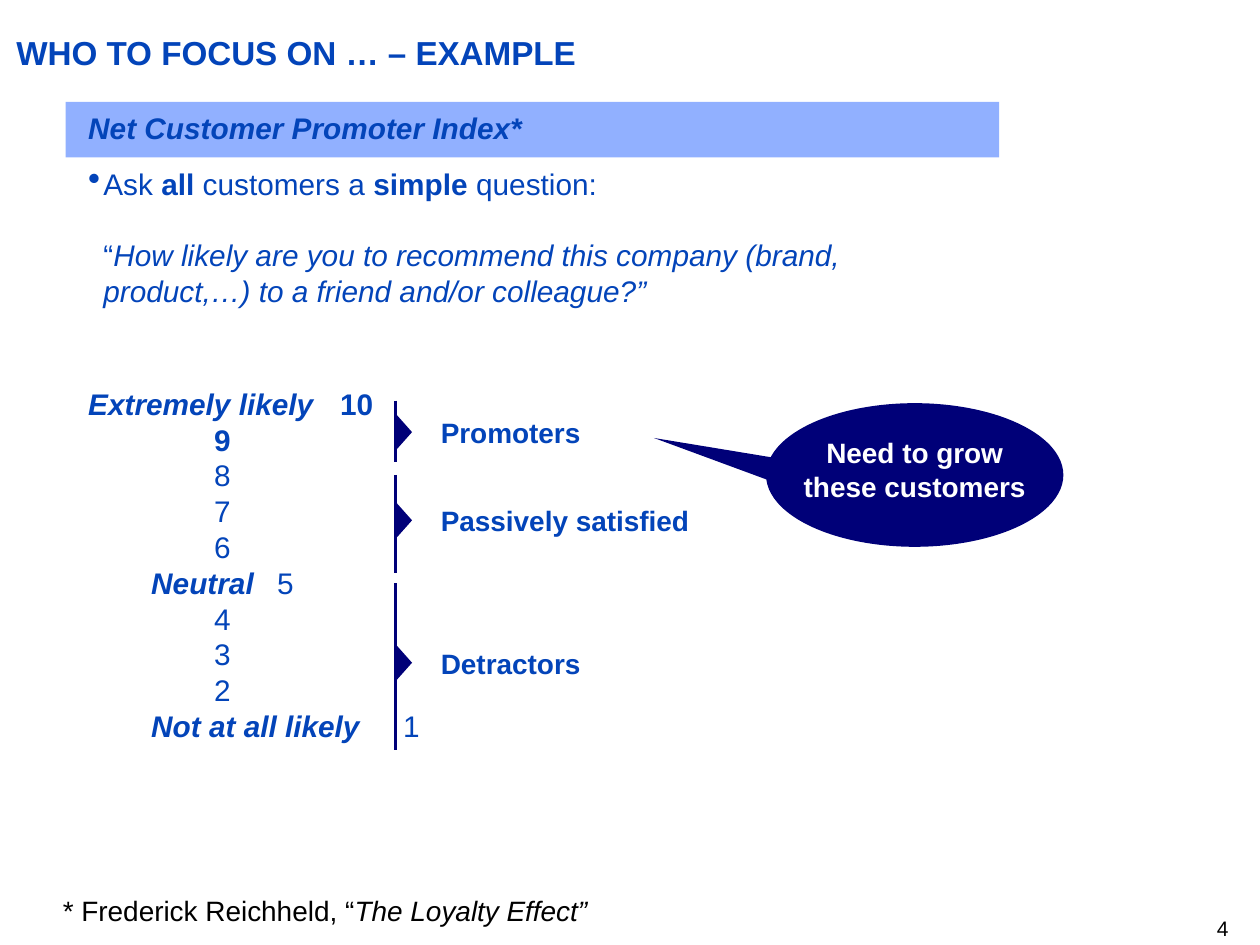
import dataclasses

import pptx
import pptx.dml.color
import pptx.enum.shapes
import pptx.enum.text
import pptx.oxml
import pptx.oxml.ns
import pptx.util
from pptx.util import Inches

SHAPE = pptx.enum.shapes.MSO_SHAPE
ALIGN = pptx.enum.text.PP_ALIGN


@dataclasses.dataclass(frozen=True)
class Theme:
    font: str = "Arial"
    blue: str = "0344B9"
    navy: str = "000078"
    band: str = "91B0FF"
    black: str = "000000"
    white: str = "FFFFFF"
    title: float = 19
    body: float = 17
    label: float = 16
    number: float = 12
    leading: float = 20.45
    line: float = 1.5


THEME = Theme()


def rgb(value):
    return pptx.dml.color.RGBColor.from_string(value)


def add_run(p, text, size, color, bold=False, italic=False):
    r = p.add_run()
    r.text = text
    r.font.name = THEME.font
    r.font.size = pptx.util.Pt(size)
    r.font.color.rgb = rgb(color)
    r.font.bold = bold
    r.font.italic = italic


def add_box(s, box, inset=True):
    tf = s.shapes.add_textbox(*map(Inches, box)).text_frame
    tf.word_wrap = True
    if not inset:
        clear_insets(tf)
    return tf


def clear_insets(tf):
    tf.margin_left = tf.margin_right = tf.margin_top = tf.margin_bottom = 0


def add_solid(s, kind, box, color, rotation=0):
    sp = s.shapes.add_shape(kind, *map(Inches, box))
    sp.shadow.inherit = False
    sp.fill.solid()
    sp.fill.fore_color.rgb = rgb(color)
    sp.line.fill.background()
    sp.rotation = rotation


def add_xml(parent, xml):
    ns = pptx.oxml.ns.nsdecls("a")
    parent.append(pptx.oxml.parse_xml(xml.replace(" ", f" {ns} ", 1)))


def add_title(s, box, text):
    sp = s.shapes.title
    sp.left, sp.top, sp.width, sp.height = map(Inches, box)
    tf = sp.text_frame
    clear_insets(tf)
    tf.vertical_anchor = pptx.enum.text.MSO_ANCHOR.TOP
    p = tf.paragraphs[0]
    p.alignment = ALIGN.LEFT
    add_run(p, text, THEME.title, THEME.blue, bold=True)


def add_body(s, box):
    """Heading, survey question and the ten-point answer scale."""
    tf = add_box(s, box, inset=False)
    hang = Inches(0.12)

    def paragraph(runs, before, first=False, margin=0, indent=0):
        p = tf.paragraphs[0] if first else tf.add_paragraph()
        p.line_spacing = pptx.util.Pt(THEME.leading)
        p.space_before = pptx.util.Pt(before)
        pPr = p._p.get_or_add_pPr()
        pPr.set("marL", str(margin))
        pPr.set("indent", str(indent))
        for text, bold, italic in runs:
            add_run(p, text, THEME.body, THEME.blue, bold, italic)
        return pPr

    paragraph([("Net Customer Promoter Index*", True, True)], 0, first=True)

    ask = [("Ask ", False, False), ("all", True, False),
           (" customers a ", False, False), ("simple", True, False),
           (" question:", False, False)]
    pPr = paragraph(ask, 11.5, margin=hang, indent=-hang)
    add_xml(pPr, '<a:buSzPct val="120000"/>')
    add_xml(pPr, '<a:buChar char="•"/>')

    question = ("How likely are you to recommend this company "
                "(brand, product,…) to a friend and/or colleague?”")
    paragraph([("“", False, False), (question, False, True)],
              THEME.leading, margin=hang)

    labels = {10: "Extremely likely", 5: "\tNeutral", 1: "\tNot at all likely"}
    for score in range(10, 0, -1):
        runs = [(labels.get(score, "\t"), True, True),
                (f"\t{score}", score >= 9, False)]
        pPr = paragraph(runs, 44 if score == 10 else 0)
        add_xml(pPr, f'<a:tabLst ><a:tab pos="{hang}" algn="l"/>'
                     f'<a:tab pos="{Inches(2.38)}" algn="r"/></a:tabLst>')


def add_group(s, x, top, bottom, arrow_y, label, width):
    """A bracket line beside the scale, with its arrow and group name."""
    ln = s.shapes.add_connector(pptx.enum.shapes.MSO_CONNECTOR.STRAIGHT,
                                Inches(x), Inches(top), Inches(x), Inches(bottom))
    ln.line.color.rgb = rgb(THEME.navy)
    ln.line.width = pptx.util.Pt(THEME.line)
    add_xml(ln._element.spPr, "<a:effectLst />")

    length, depth = 0.27, 0.12
    add_solid(s, SHAPE.ISOSCELES_TRIANGLE,
              (x + 0.07 - length / 2, arrow_y - depth / 2, length, depth),
              THEME.navy, rotation=90)
    tf = add_box(s, (x + 0.26, arrow_y - 0.18, width, 0.37))
    add_run(tf.paragraphs[0], label, THEME.label, THEME.blue, bold=True)


def add_callout(s, x, y, w, h, text):
    add_solid(s, SHAPE.ISOSCELES_TRIANGLE, (x - 0.3, y - 0.29, 0.29, 1.52),
              THEME.navy, rotation=284.8)
    add_solid(s, SHAPE.OVAL, (x, y, w, h), THEME.navy)
    tf = add_box(s, (x + (w - 2) / 2, y + 0.21, 2, 0.64))
    p = tf.paragraphs[0]
    p.alignment = ALIGN.CENTER
    add_run(p, text, THEME.label, THEME.white, bold=True)


def add_footer(s, note_box, number_box):
    p = add_box(s, note_box).paragraphs[0]
    add_run(p, "* Frederick Reichheld, “", THEME.label, THEME.black)
    add_run(p, "The Loyalty Effect”", THEME.label, THEME.black, italic=True)
    p = add_box(s, number_box, inset=False).paragraphs[0]
    p.alignment = ALIGN.RIGHT
    add_run(p, "4", THEME.number, THEME.black)


def main():
    prs = pptx.Presentation()
    prs.slide_width, prs.slide_height = Inches(10), Inches(7.5)
    s = prs.slides.add_slide(prs.slide_layouts[5])

    add_title(s, (0.13, 0.26, 9.62, 0.32), "WHO TO FOCUS ON … – EXAMPLE")
    add_solid(s, SHAPE.RECTANGLE, (0.52, 0.81, 7.41, 0.44), THEME.band)
    add_body(s, (0.7, 0.87, 7.11, 5.18))
    for group in ((3.18, 3.67, 3.43, "Promoters", 1.59),
                  (3.77, 4.55, 4.13, "Passively satisfied", 2.29),
                  (4.63, 5.95, 5.26, "Detractors", 2.29)):
        add_group(s, 3.14, *group)
    add_callout(s, 6.08, 3.2, 2.36, 1.14, "Need to grow these customers")
    add_footer(s, (0.4, 7.04, 4.39, 0.37), (7.67, 7.27, 2.08, 0.2))
    prs.save("out.pptx")


if __name__ == "__main__":
    main()
